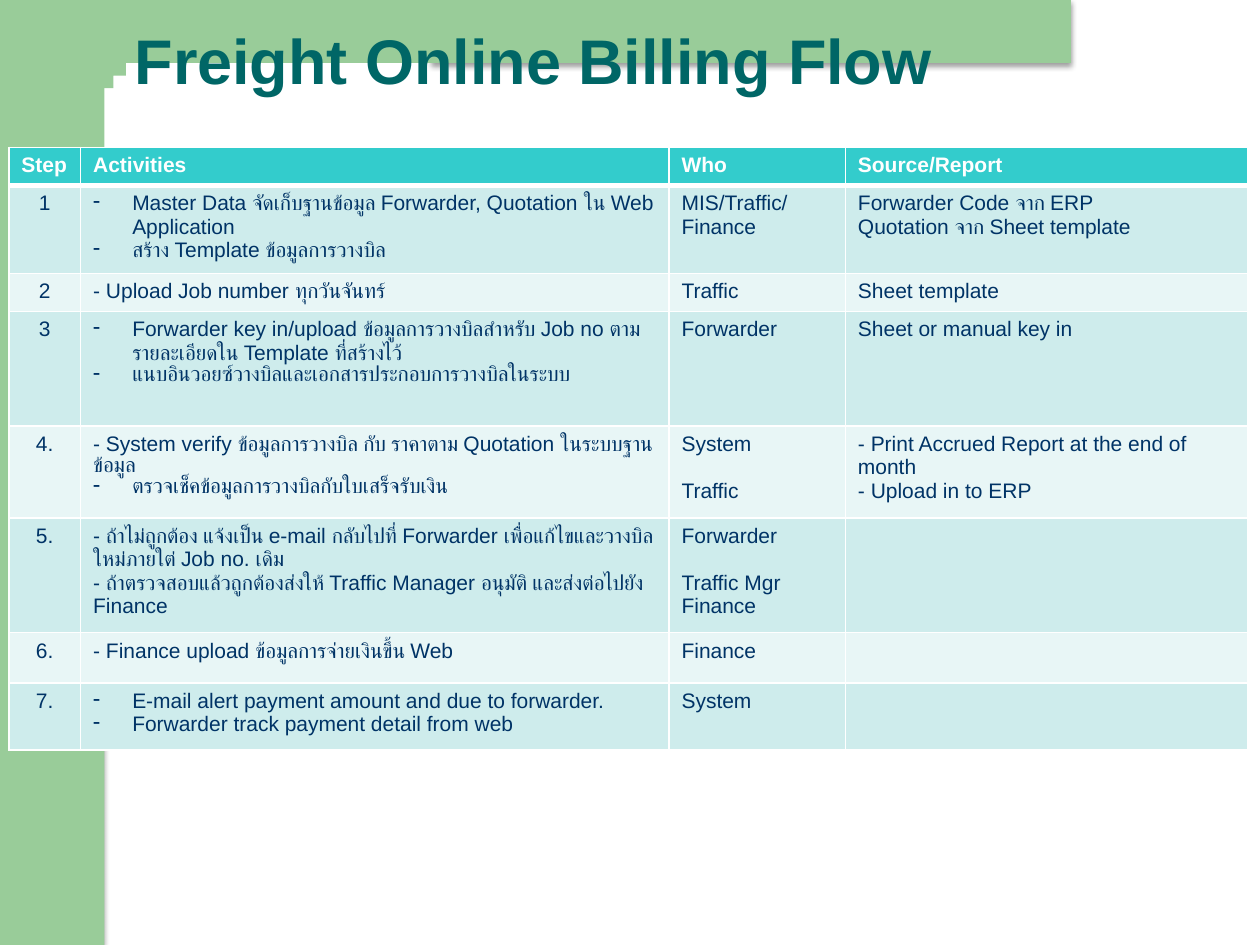
from collections import namedtuple
from math import cos, pi, sin

from lxml.etree import SubElement
from pptx import Presentation
from pptx.dml.color import RGBColor
from pptx.enum.shapes import MSO_SHAPE as Preset
from pptx.enum.text import MSO_ANCHOR as Anchor, PP_ALIGN as Align
from pptx.oxml.ns import qn
from pptx.util import Inches, Pt

COLUMNS, ROWS, UNIT = 100, 75, Inches(0.1)
FONT = "Arial"
GREEN, TEAL, NAVY, WHITE = "99CC99", "006666", "003366", "FFFFFF"
HEADER_FILL, BANDS = "33CCCC", ("CEECEC", "E8F6F6")
LINE_GAP, HANGING = 13.4, 3.1

Box = namedtuple("Box", "left top width height")

COLUMN_WIDTHS = (5.7, 46.7, 14, 31.9)
HEADINGS = ("Step", "Activities", "Who", "Source/Report")
STEPS = (
    (6.8, "1",
     "-\tMaster Data จัดเก็บฐานข้อมูล Forwarder, Quotation ใน Web Application\n"
     "-\tสร้าง Template ข้อมูลการวางบิล",
     "MIS/Traffic/\nFinance",
     "Forwarder Code จาก ERP\nQuotation จาก Sheet template"),
    (2.9, "2", "- Upload Job number ทุกวันจันทร์", "Traffic", "Sheet template"),
    (9.1, "3",
     "-\tForwarder key in/upload ข้อมูลการวางบิลสำหรับ Job no ตามรายละเอียดใน Template ที่สร้างไว้\n"
     "-\tแนบอินวอยซ์วางบิลและเอกสารประกอบการวางบิลในระบบ",
     "Forwarder", "Sheet or manual key in"),
    (7.3, "4.",
     "- System verify ข้อมูลการวางบิล กับ ราคาตาม Quotation ในระบบฐานข้อมูล\n"
     "-\tตรวจเช็คข้อมูลการวางบิลกับใบเสร็จรับเงิน",
     "System\n\nTraffic",
     "- Print Accrued Report at the end of month\n- Upload in to ERP"),
    (9.1, "5.",
     "- ถ้าไม่ถูกต้อง แจ้งเป็น e-mail กลับไปที่ Forwarder เพื่อแก้ไขและวางบิลใหม่ภายใต่ Job no. เดิม\n"
     "- ถ้าตรวจสอบแล้วถูกต้องส่งให้ Traffic Manager อนุมัติ และส่งต่อไปยัง Finance",
     "Forwarder\n\nTraffic Mgr\nFinance", ""),
    (3.4, "6.", "- Finance upload ข้อมูลการจ่ายเงินขึ้น Web", "Finance", ""),
    (5.3, "7.",
     "-\tE-mail alert payment amount and due to forwarder.\n"
     "-\tForwarder track payment detail from web",
     "System", ""),
)


def units(count):
    return int(count * UNIT)


def color(value):
    return RGBColor.from_string(value)


def add_bullet(para):
    properties = para._p.get_or_add_pPr()
    properties.set("marL", str(units(HANGING)))
    properties.set("indent", str(-units(HANGING)))
    SubElement(properties, qn("a:buChar"), char="-")


def write(frame, text, size=12, ink=NAVY, bold=False, align=Align.LEFT, spacing=None):
    frame.word_wrap = True
    para, gap = frame.paragraphs[0], 0
    for line in text.split("\n"):
        if not line:
            gap = LINE_GAP
            continue
        if para.runs:
            para = frame.add_paragraph()
        para.alignment = align
        para.space_before = Pt(gap)
        gap = 0
        if spacing:
            para.line_spacing = spacing
        if line.startswith("-\t"):
            add_bullet(para)
        span = para.add_run()
        span.text = line.removeprefix("-\t")
        span.font.name, span.font.size, span.font.bold = FONT, Pt(size), bold
        span.font.color.rgb = color(ink)


def paint(shape):
    shape.shadow.inherit = False
    shape.fill.solid()
    shape.fill.fore_color.rgb = color(GREEN)
    shape.line.fill.background()


def cast_shadow(shape):
    effects = shape._element.spPr.find(qn("a:effectLst"))
    shadow = SubElement(effects, qn("a:outerShdw"), blurRad=str(Pt(3.1)),
                        dist=str(Pt(1.6)), dir="5400000", rotWithShape="0")
    tint = SubElement(shadow, qn("a:srgbClr"), val="000000")
    SubElement(tint, qn("a:alpha"), val="38000")


def add_panel(page, box, shadowed=False):
    panel = page.shapes.add_shape(Preset.RECTANGLE, *map(units, box))
    paint(panel)
    if shadowed:
        cast_shadow(panel)


def add_corner(page, box, band, bar):
    left, top, width, height = box
    right, bottom = left + width, top + height
    inner, edge = left + band, top + bar
    radius = bottom - edge
    arc = [(inner + radius * (1 - cos(angle)), bottom - radius * sin(angle))
           for angle in (pi / 2 * step / 16 for step in range(16, -1, -1))]
    points = [(left, top), (right, top), (right, edge), *arc, (left, bottom)]
    builder = page.shapes.build_freeform(*points[0], scale=UNIT)
    builder.add_line_segments(points[1:], close=True)
    paint(builder.convert_to_shape())


def add_frame(page, box):
    side, split = 8.3, 45.8
    add_panel(page, Box(box.left, box.top + split, side, box.height - split), shadowed=True)
    add_panel(page, Box(box.left + 34.2, box.top, 50.8, 5), shadowed=True)
    add_panel(page, Box(box.left, box.top, side, 46.7))
    add_corner(page, Box(box.left + 5, box.top, 30, 7.9), band=3.3, bar=5.2)


def add_title(page, box):
    title = page.shapes.add_textbox(*map(units, box))
    title.text_frame.vertical_anchor = Anchor.BOTTOM
    write(title.text_frame, "Freight Online Billing Flow",
          size=36, ink=TEAL, bold=True, spacing=0.9)


def style_cell(cell, fill, bottom=1):
    properties = cell._tc.get_or_add_tcPr()
    for side, width in (("L", 1), ("R", 1), ("T", 1), ("B", bottom)):
        line = SubElement(properties, qn(f"a:ln{side}"), w=str(Pt(width)))
        SubElement(SubElement(line, qn("a:solidFill")), qn("a:srgbClr"), val=WHITE)
    cell.fill.solid()
    cell.fill.fore_color.rgb = color(fill)


def add_steps(page, box):
    table = page.shapes.add_table(len(STEPS) + 1, len(HEADINGS), *map(units, box)).table
    for column, width in zip(table.columns, COLUMN_WIDTHS):
        column.width = units(width)
    table.rows[0].height = units(2.9)
    for cell, heading in zip(table.rows[0].cells, HEADINGS):
        style_cell(cell, HEADER_FILL, bottom=3)
        write(cell.text_frame, heading, ink=WHITE, bold=True)
    for index, (height, *texts) in enumerate(STEPS):
        row = table.rows[index + 1]
        row.height = units(height)
        for place, (cell, text) in enumerate(zip(row.cells, texts)):
            style_cell(cell, BANDS[index % 2])
            write(cell.text_frame, text, align=Align.LEFT if place else Align.CENTER)


def main():
    deck = Presentation()
    deck.slide_width, deck.slide_height = units(COLUMNS), units(ROWS)
    page = deck.slides.add_slide(deck.slide_layouts[6])
    add_frame(page, Box(0, 0, COLUMNS, ROWS))
    add_title(page, Box(9.7, 0, 77, 8.3))
    add_steps(page, Box(0.7, 11.7, sum(COLUMN_WIDTHS), 46.8))
    deck.save("out.pptx")


if __name__ == "__main__":
    main()
